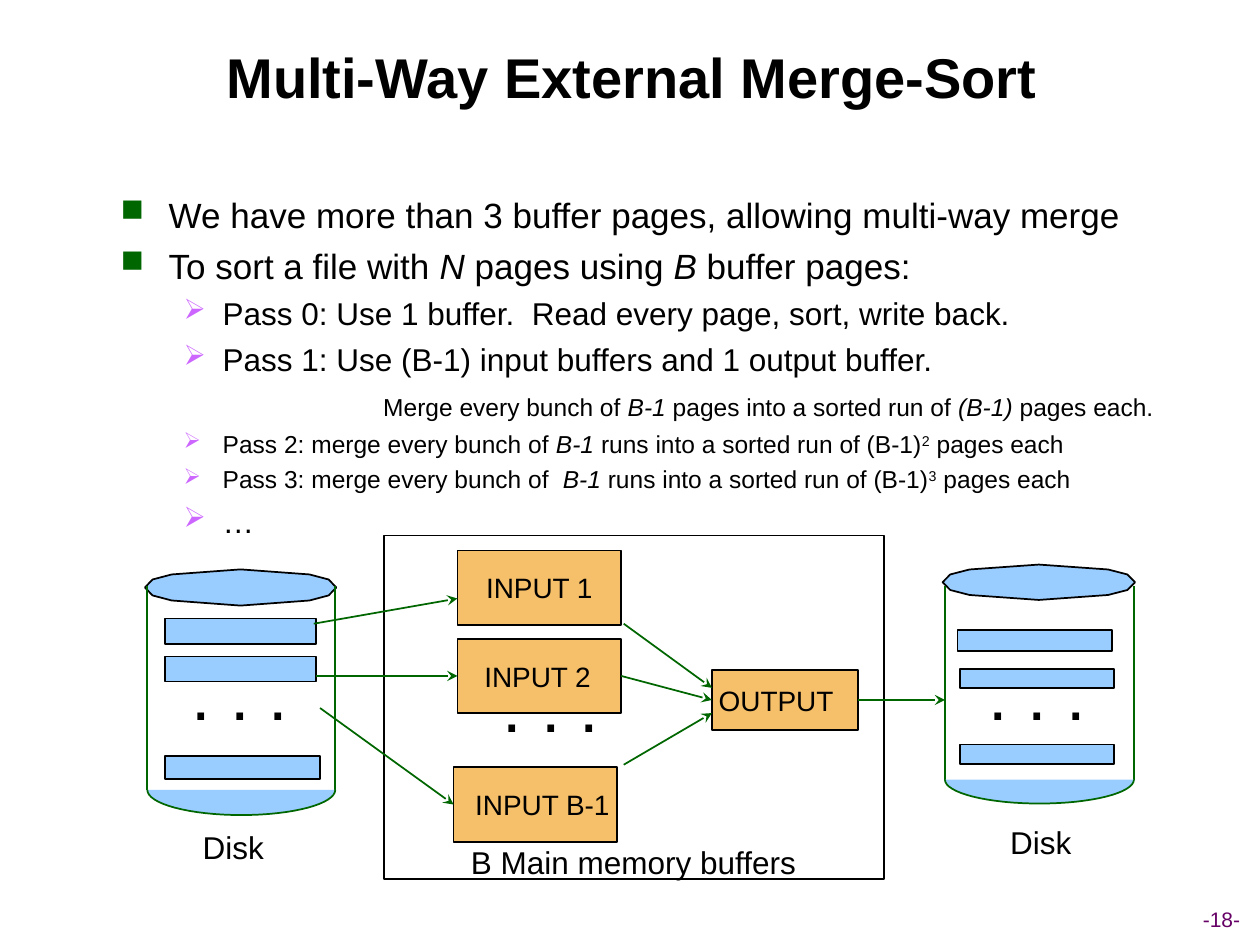
from math import cos, pi, sin

from lxml import etree
from pptx import Presentation
from pptx.dml.color import RGBColor
from pptx.enum.shapes import MSO_CONNECTOR, MSO_SHAPE
from pptx.enum.text import MSO_ANCHOR, MSO_AUTO_SIZE, PP_ALIGN
from pptx.oxml.ns import qn
from pptx.util import Pt

LINE = MSO_CONNECTOR.STRAIGHT
RECT = MSO_SHAPE.RECTANGLE
MIDDLE = MSO_ANCHOR.MIDDLE
CENTER = PP_ALIGN.CENTER
LEFT = PP_ALIGN.LEFT
FIT = MSO_AUTO_SIZE.SHAPE_TO_FIT_TEXT

BLACK = RGBColor(0x00, 0x00, 0x00)
GREEN = RGBColor(0x00, 0x66, 0x00)
BLUE = RGBColor(0x99, 0xCC, 0xFF)
AMBER = RGBColor(0xF6, 0xBF, 0x69)
PLUM = RGBColor(0x66, 0x00, 0x66)
LILAC = RGBColor(0xCC, 0x66, 0xFF)

WEST, EAST = 1, 3
IT, SUP = "italic", "super"

# level: left margin, hanging indent, bullet, bullet colour
LEVELS = [(27.4, -27.4, "■", GREEN), (58.3, -22.3, "➢", LILAC)]
NOTE = (150, 0, None, None)

# level, style, size, space before, runs
BODY = [
    (0, LEVELS[0], 20, 0,
     [("We have more than 3 buffer pages, allowing multi-way merge", "")]),
    (0, LEVELS[0], 20, 5,
     [("To sort a file with ", ""), ("N", IT), (" pages using ", ""),
      ("B", IT), (" buffer pages:", "")]),
    (1, LEVELS[1], 18, 4.5,
     [("Pass 0: Use 1 buffer.  Read every page, sort, write back.", "")]),
    (1, LEVELS[1], 18, 4.5,
     [("Pass 1: Use (B-1) input buffers and 1 output buffer.", "")]),
    (1, NOTE, 14, 8,
     [("Merge every bunch of ", ""), ("B-1", IT),
      (" pages into a sorted run of", ""), (" (B-1)", IT),
      (" pages each.", "")]),
    (1, LEVELS[1], 14, 4.5,
     [("Pass 2: merge every bunch of ", ""), ("B-1 ", IT),
      ("runs into a sorted run of (B-1)", ""), ("2", SUP),
      (" pages each", "")]),
    (1, LEVELS[1], 14, 3.5,
     [("Pass 3: merge every bunch of  ", ""), ("B-1 ", IT),
      ("runs into a sorted run of (B-1)", ""), ("3", SUP),
      (" pages each", "")]),
    (1, LEVELS[1], 18, 4.5, [("…", "")]),
]

CAP = [(1, .5), (.96, .28), (.86, .14), (.5, 0), (.14, .14), (.04, .28),
       (0, .5), (.04, .72), (.14, .86), (.5, 1), (.86, .86), (.96, .72)]

# text, left, top, width, height, size
LABELS = [
    ("B Main memory buffers", 262, 478, 240, 29, 18),
    ("Disk", 570.2, 466.6, 50, 29, 18),
    ("Disk", 108.7, 469.4, 50, 29, 18),
    (". . .", 280, 375, 70, 55.4, 40),
    (". . .", 558, 368, 70, 55.4, 40),
    (". . .", 102.2, 368, 70, 55.4, 40),
]

# left, top, width, height of the pages on both disks
PAGES = [
    (94.3, 353.5, 86.4, 14.4), (94.3, 375.1, 86.4, 14.4),
    (94.3, 432, 88.6, 13), (547.2, 360, 88.2, 12),
    (548.6, 382.3, 88.2, 11), (548.6, 425.5, 88.2, 11),
]


def pts(*vals):
    return [Pt(v) for v in vals]


def style(obj, **vals):
    for key, val in vals.items():
        setattr(obj, key, val)


def write(para, text, size, color=BLACK, **extra):
    run = para.add_run()
    run.text = text
    style(run.font, name="Arial", size=Pt(size), **extra)
    run.font.color.rgb = color
    return run


def paint(shape, fill, line):
    shape.shadow.inherit = False
    if fill is None:
        shape.fill.background()
    else:
        shape.fill.solid()
        shape.fill.fore_color.rgb = fill
    shape.line.color.rgb = line
    shape.line.width = Pt(1)


def label(slide, text, x, y, w, h, size, color=BLACK, align=LEFT):
    frame = slide.shapes.add_textbox(*pts(x, y, w, h)).text_frame
    style(frame, word_wrap=False, auto_size=FIT)
    frame.paragraphs[0].alignment = align
    write(frame.paragraphs[0], text, size, color)


def box(slide, x, y, w, h, fill, text="", left=0, right=0):
    shape = slide.shapes.add_shape(RECT, *pts(x, y, w, h))
    paint(shape, fill, BLACK)
    if text:
        frame = shape.text_frame
        style(frame, word_wrap=False, vertical_anchor=MIDDLE,
              margin_left=Pt(left), margin_right=Pt(right),
              margin_top=0, margin_bottom=0)
        frame.paragraphs[0].alignment = CENTER
        write(frame.paragraphs[0], text, 16)
    return shape


def outline(slide, points, line, close):
    points = [pts(*p) for p in points]
    form = slide.shapes.build_freeform(*points[0])
    form.add_line_segments(points[1:], close=close)
    paint(form.convert_to_shape(), BLUE, line)


def wire(slide, start, end, head=True):
    """Draw a line; each end is a point or a (shape, side) pair."""
    spots = [(0, 0) if hasattr(e[0], "shape_id") else e for e in (start, end)]
    con = slide.shapes.add_connector(LINE, *pts(*spots[0], *spots[1]))
    for spot, join in ((start, con.begin_connect), (end, con.end_connect)):
        if hasattr(spot[0], "shape_id"):
            join(*spot)
    con.line.color.rgb = GREEN
    con.line.width = Pt(1)
    if head:
        etree.SubElement(con.line._get_or_add_ln(), qn("a:tailEnd"),
                         type="stealth")
    etree.SubElement(con._element.spPr, qn("a:effectLst"))


def disk(slide, x, w, top, cap, base, bowl):
    """Draw a drum: faceted lid, two sides, half-ellipse bottom."""
    wide = w + 2
    outline(slide, [(x - 1.4 + wide * a, top + cap * b) for a, b in CAP],
            BLACK, True)
    for side in (x, x + w):
        wire(slide, (side, 334.8), (side, base), head=False)
    turns = [pi * i / 32 for i in range(33)]
    outline(slide, [(x + w / 2 * (1 - cos(t)), base + bowl * sin(t))
                    for t in turns], GREEN, False)


def bullet(para, left, hang, mark, color):
    props = para._p.get_or_add_pPr()
    props.set("marL", str(Pt(left)))
    props.set("indent", str(Pt(hang)))
    if mark is None:
        etree.SubElement(props, qn("a:buNone"))
        return
    tint = etree.SubElement(props, qn("a:buClr"))
    etree.SubElement(tint, qn("a:srgbClr"), val=str(color))
    etree.SubElement(props, qn("a:buSzPct"), val="90000")
    etree.SubElement(props, qn("a:buChar"), char=mark)


def heading(slide, text):
    title = slide.shapes.title
    style(title, **dict(zip(("left", "top", "width", "height"),
                            pts(27.4, 9.4, 667.4, 68.4))))
    frame = title.text_frame
    frame.vertical_anchor = MIDDLE
    frame.paragraphs[0].alignment = CENTER
    write(frame.paragraphs[0], text, 32, bold=True)


def body(slide):
    frame = slide.shapes.add_textbox(*pts(61.9, 107, 619.2, 200)).text_frame
    frame.word_wrap = True
    for i, (level, look, size, gap, runs) in enumerate(BODY):
        para = frame.add_paragraph() if i else frame.paragraphs[0]
        style(para, level=level, space_before=Pt(gap))
        bullet(para, *look)
        for text, kind in runs:
            run = write(para, text, size, italic=kind == IT)
            if kind == SUP:
                run._r.get_or_add_rPr().set("baseline", "30000")


def diagram(slide):
    disk(slide, 84.2, 107.4, 325.4, 20.7, 451.4, 14.4)
    disk(slide, 540, 108, 322.6, 20.2, 445.5, 13.7)
    box(slide, 219.6, 306, 285.6, 196.4, None)
    for page in PAGES:
        box(slide, *page, BLUE)
    box(slide, 261.4, 314.5, 93.6, 42.5, AMBER, "INPUT 1")
    second = box(slide, 261.4, 365, 93.6, 42.5, AMBER, "INPUT 2", right=2)
    last = box(slide, 259.2, 438.5, 93.6, 42.5, AMBER, "INPUT B-1", left=8)
    out = box(slide, 406.8, 383, 83.5, 34, AMBER, "OUTPUT", right=10)
    for start, end in (
        ((179.3, 356.4), (261.4, 342)),
        ((180.7, 386.25), (second, WEST)),
        ((182.9, 404.6), (last, WEST)),
        ((356.4, 356.4), (406.8, 393.1)),
        ((second, EAST), (out, WEST)),
        ((356.4, 437), (406.8, 407.5)),
        ((out, EAST), (540, 400)),
    ):
        wire(slide, start, end)
    for item in LABELS:
        label(slide, *item)


def main():
    deck = Presentation()
    style(deck, slide_width=Pt(720), slide_height=Pt(540))
    slide = deck.slides.add_slide(deck.slide_layouts[5])
    heading(slide, "Multi-Way External Merge-Sort")
    body(slide)
    diagram(slide)
    label(slide, "-18-", 659.5, 514.5, 77, 21.6, 12, PLUM, CENTER)
    deck.save("out.pptx")


if __name__ == "__main__":
    main()
